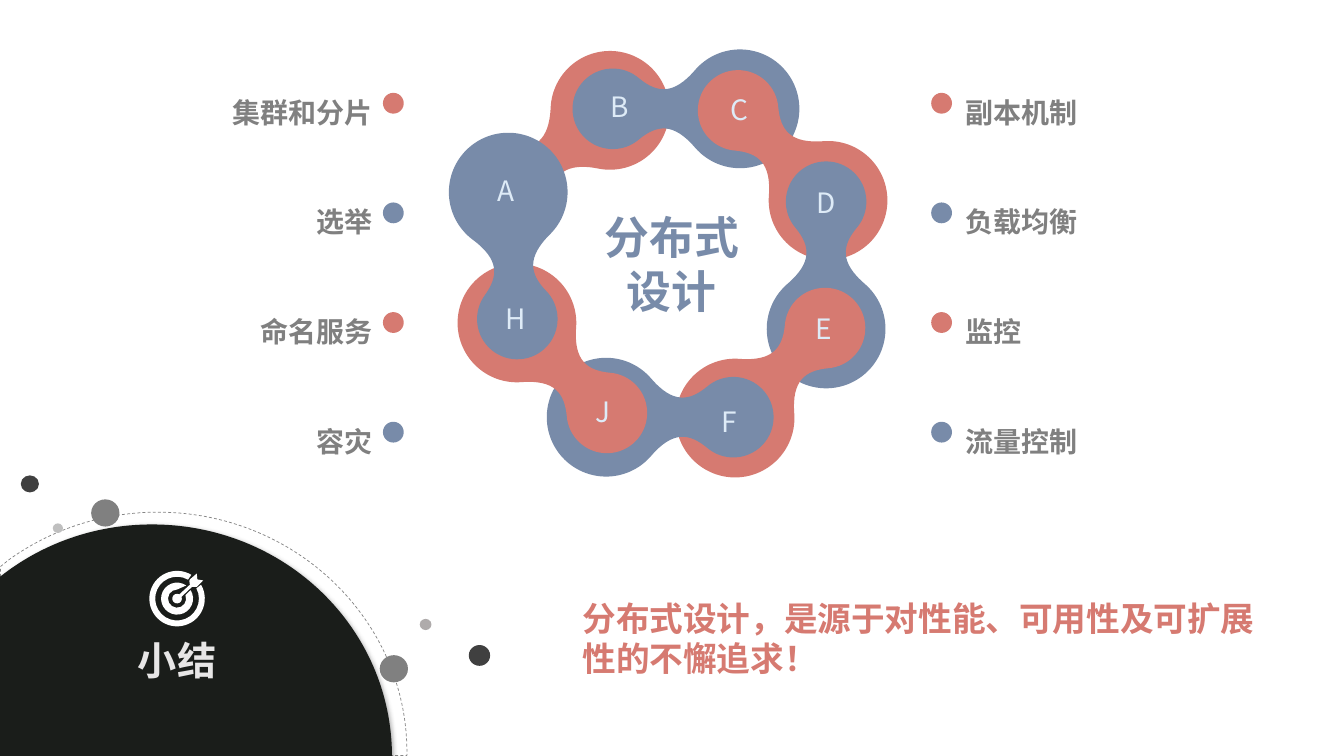
from dataclasses import dataclass
from math import ceil, cos, dist, radians, sin, tan

from lxml.etree import SubElement
from pptx import Presentation
from pptx.dml.color import RGBColor
from pptx.enum.dml import MSO_LINE_DASH_STYLE as Dash
from pptx.enum.shapes import MSO_SHAPE as Preset
from pptx.enum.text import MSO_ANCHOR as Anchor, MSO_AUTO_SIZE as AutoSize, PP_ALIGN as Align
from pptx.oxml.ns import qn
from pptx.util import Inches, Pt

RED = RGBColor(0xD6, 0x7A, 0x71)
BLUE = RGBColor(0x78, 0x8B, 0xA9)
PALE = RGBColor(0xDE, 0xEB, 0xF7)
GRAY = RGBColor(0x80, 0x80, 0x80)
CHARCOAL = RGBColor(0x40, 0x40, 0x40)
ASH = RGBColor(0xAF, 0xAB, 0xAB)
SILVER = RGBColor(0xBF, 0xBF, 0xBF)
INK = RGBColor(0x1A, 0x1D, 0x1A)
MIST = RGBColor(0xE7, 0xE6, 0xE6)
WHITE = RGBColor(0xFF, 0xFF, 0xFF)
BLACK = RGBColor(0, 0, 0)
SANS = "Noto Sans CJK SC"
Point = tuple[float, float]


@dataclass
class Petal:
    x: float
    y: float
    angle: float
    color: RGBColor


@dataclass
class Letter:
    text: str
    left: float
    top: float
    width: float


@dataclass
class Topic:
    text: str
    row: int
    width: float
    on_left: bool


@dataclass
class Dot:
    left: float
    top: float
    width: float
    height: float
    color: RGBColor


PETALS = [
    Petal(9.56, 3.54, -38.1, RED), Petal(11.49, 2.04, 0, BLUE),
    Petal(13.84, 2.07, 45, RED), Petal(15.49, 3.78, 90, BLUE),
    Petal(15.47, 6.15, 135, RED), Petal(13.75, 7.82, 180, BLUE),
    Petal(11.38, 7.74, 225, RED), Petal(9.7, 5.98, 265.9, BLUE),
]
LETTERS = [
    Letter("C", 13.49, 1.67, 0.76), Letter("F", 13.33, 7.52, 0.8),
    Letter("E", 15.1, 5.77, 0.76), Letter("D", 15.11, 3.42, 0.76),
    Letter("A", 9.13, 3.19, 0.84), Letter("H", 9.27, 5.59, 0.84),
    Letter("J", 10.97, 7.33, 0.8), Letter("B", 11.25, 1.62, 0.5),
]
TOPICS = [
    Topic("副本机制", 0, 2.68, False), Topic("负载均衡", 1, 2.68, False),
    Topic("监控", 2, 2.68, False), Topic("流量控制", 3, 2.68, False),
    Topic("集群和分片", 0, 3.74, True), Topic("选举", 1, 2.59, True),
    Topic("命名服务", 2, 2.59, True), Topic("容灾", 3, 2.59, True),
]
ORBIT_DOTS = [
    Dot(8.79, 12.09, 0.4, 0.39, CHARCOAL), Dot(7.87, 11.6, 0.22, 0.21, ASH),
    Dot(1.71, 9.36, 0.53, 0.51, GRAY), Dot(0.39, 8.91, 0.34, 0.32, CHARCOAL),
    Dot(0.99, 9.81, 0.19, 0.18, SILVER), Dot(7.12, 12.28, 0.53, 0.51, GRAY),
]


def arc(x: float, y: float, radius: float, start: float, end: float) -> list[Point]:
    count = ceil(abs(end - start) / 60)
    step = radians(end - start) / count
    pull = 4 / 3 * tan(step / 4)
    points = [(x + radius * cos(radians(start)), y + radius * sin(radians(start)))]
    for i in range(count):
        a = radians(start) + i * step
        b = a + step
        points += [(x + radius * (cos(a) - pull * sin(a)), y + radius * (sin(a) + pull * cos(a))),
                   (x + radius * (cos(b) + pull * sin(b)), y + radius * (sin(b) - pull * cos(b))),
                   (x + radius * cos(b), y + radius * sin(b))]
    return points


def chain(*parts: list[Point]) -> list[Point]:
    path = list(parts[0])
    for part in parts[1:]:
        if dist(path[-1], part[0]) > 0.01:
            path += [path[-1], part[0], part[0]]
        path += part[1:]
    return path


def petal_outline(petal: Petal) -> list[Point]:
    half = chain(arc(0, 0, 0.755, 180, 49),
                 [(0.495, 0.57), (0.825, 0.3), (1.135, 0.25), (1.545, 0.73)],
                 arc(2.385, 0, 1.113, 139, 0))
    whole = chain(half, [(x, -y) for x, y in reversed(half)])
    c, s = cos(radians(petal.angle)), sin(radians(petal.angle))
    return [(petal.x + x * c - y * s, petal.y + x * s + y * c) for x, y in whole]


def draw_outline(shapes, contours: list[list[Point]], color: RGBColor | None = None):
    builder = None
    for contour in contours:
        start, *rest = [(Inches(x), Inches(y)) for x, y in contour]
        if builder is None:
            builder = shapes.build_freeform(*start)
        else:
            builder.move_to(*start)
        builder.add_line_segments(rest, close=True)
    outline = builder.convert_to_shape()
    path = next(outline.element.iter(qn("a:path")))
    lines = path.findall(qn("a:lnTo"))
    for i in range(0, len(lines), 3):
        bend = path.makeelement(qn("a:cubicBezTo"))
        lines[i].addprevious(bend)
        for line in lines[i:i + 3]:
            bend.append(line[0])
            path.remove(line)
    return paint(outline, color)


def paint(shape, color: RGBColor | None):
    shape.shadow.inherit = False
    shape.line.fill.background()
    if color is None:
        shape.fill.background()
    else:
        shape.fill.solid()
        shape.fill.fore_color.rgb = color
    return shape


def draw_dot(shapes, dot: Dot, preset: Preset = Preset.OVAL):
    box = [Inches(v) for v in (dot.left, dot.top, dot.width, dot.height)]
    return paint(shapes.add_shape(preset, *box), dot.color)


def write(box, text: str, *, at: tuple, size: float, color: RGBColor, font: str = SANS,
          bold: bool = True, align: Align = Align.LEFT, anchor: Anchor = Anchor.TOP,
          insets: tuple = (0.1, 0.05), spacing: float = 1.0, tracking: int = 0,
          wrap: bool = True) -> None:
    box.left, box.top, box.width, box.height = [Inches(v) for v in at]
    frame = box.text_frame
    frame.text = text
    frame.auto_size = AutoSize.NONE
    frame.word_wrap = wrap
    frame.vertical_anchor = anchor
    frame.margin_left = frame.margin_right = Inches(insets[0])
    frame.margin_top = frame.margin_bottom = Inches(insets[1])
    for paragraph in frame.paragraphs:
        properties = paragraph._p.get_or_add_pPr()
        properties.set("marL", "0")
        properties.set("indent", "0")
        SubElement(properties, qn("a:buNone"))
        paragraph.alignment = align
        paragraph.line_spacing = spacing
        paragraph.space_before = Pt(0)
        for run in paragraph.runs:
            run.font.name = font
            run.font.size = Pt(size)
            run.font.bold = bold
            run.font.color.rgb = color
            letterform = run._r.get_or_add_rPr()
            letterform.set("lang", "zh-CN")
            letterform.set("spc", str(tracking))
            SubElement(letterform, qn("a:ea"), typeface="Calibri")


def add_text(shapes, text: str, **style) -> None:
    write(shapes.add_textbox(0, 0, 0, 0), text, **style)


def draw_ring(shapes) -> None:
    for petal in PETALS:
        draw_outline(shapes, [petal_outline(petal)], petal.color)
    for letter in LETTERS:
        add_text(shapes, letter.text, at=(letter.left, letter.top, letter.width, 0.75), size=37.8,
                 color=PALE, bold=False, anchor=Anchor.MIDDLE, insets=(0.2, 0.2))
    add_text(shapes, "分布式\n设计", at=(11.13, 3.84, 2.93, 2.23), size=60.5, color=BLUE,
             font="Noto Sans CJK JP", align=Align.CENTER, insets=(0.19, 0.09), wrap=False)


def draw_topic(shapes, topic: Topic) -> None:
    top = 1.74 + topic.row * 2.055
    left = 6.99 - topic.width if topic.on_left else 18.1
    add_text(shapes, topic.text, at=(left, top - 0.08, topic.width, 0.7), size=37.8, color=GRAY,
             align=Align.RIGHT if topic.on_left else Align.LEFT, insets=(0, 0), spacing=1.2)
    bullet = Dot(7.18 if topic.on_left else 17.46, top, 0.39, 0.39, (RED, BLUE)[topic.row % 2])
    draw_dot(shapes, bullet, Preset.ROUNDED_RECTANGLE).adjustments[0] = 0.5


def draw_dome(shapes) -> None:
    orbit = draw_outline(shapes, [chain(
        [(2.96, 9.6), (5.54, 9.6), (7.63, 11.62), (7.63, 14.1)],
        [(7.63, 14.16)], [(0.01, 14.16)], [(0.01, 10.62)],
        [(0.17, 10.49), (0.95, 9.93), (1.92, 9.6), (2.96, 9.6)])])
    orbit.line.color.rgb = BLACK
    orbit.line.width = Pt(1)
    orbit.line.dash_style = Dash.DASH
    ink = orbit.line._ln.find(".//" + qn("a:srgbClr"))
    SubElement(ink, qn("a:alpha"), val="48000")
    dome = draw_outline(shapes, [chain(
        [(2.85, 9.83), (5.34, 9.83), (7.35, 11.77), (7.35, 14.18)],
        [(7.35, 14.28)], [(-0.45, 14.28)], [(-0.45, 11.23)],
        [(-0.33, 11.1), (0.49, 10.31), (1.61, 9.83), (2.85, 9.83)])], INK)
    effects = dome.element.spPr.find(qn("a:effectLst"))
    shade = SubElement(effects, qn("a:outerShdw"), blurRad=str(Pt(6)), dist=str(Pt(3)),
                       dir="2700000", algn="tl", rotWithShape="0")
    tint = SubElement(shade, qn("a:srgbClr"), val=str(CHARCOAL))
    SubElement(tint, qn("a:alpha"), val="40000")
    for dot in ORBIT_DOTS:
        draw_dot(shapes, dot)


def draw_target(shapes) -> None:
    x, y = 3.32, 11.22
    outer_ring = chain(arc(x, y, 0.52, -30, 301), arc(x, y, 0.41, 300, -28))
    inner_ring = chain(arc(x, y, 0.3, -32, 305), arc(x, y, 0.17, 270, -22))
    dart = chain([(3.56, 10.86)], [(3.69, 10.75)], [(3.7, 10.86)], [(3.81, 10.88)], [(3.69, 11)],
                 [(3.6, 11)], arc(x, y, 0.09, -22, 298), [(3.56, 10.96)], [(3.55, 10.89)])
    draw_outline(shapes, [dart, outer_ring, inner_ring], WHITE)


def main() -> None:
    deck = Presentation()
    deck.slide_width, deck.slide_height = Inches(25.2), Inches(14.17)
    slide = deck.slides.add_slide(deck.slide_layouts[1])
    shapes = slide.shapes
    write(slide.placeholders[1], "分布式设计，是源于对性能、可用性及可扩展性的不懈追求！",
          at=(10.82, 11.15, 13.28, 1.63), size=45.4, color=RED, font="Calibri")
    draw_ring(shapes)
    for topic in TOPICS:
        draw_topic(shapes, topic)
    draw_dome(shapes)
    summary = shapes.title
    summary.element.getparent().append(summary.element)
    write(summary, "小结", at=(1.28, 11.87, 4.09, 0.99), size=52.9, color=MIST, font="Arial",
          align=Align.CENTER, tracking=90)
    draw_target(shapes)
    deck.save("out.pptx")


if __name__ == "__main__":
    main()
